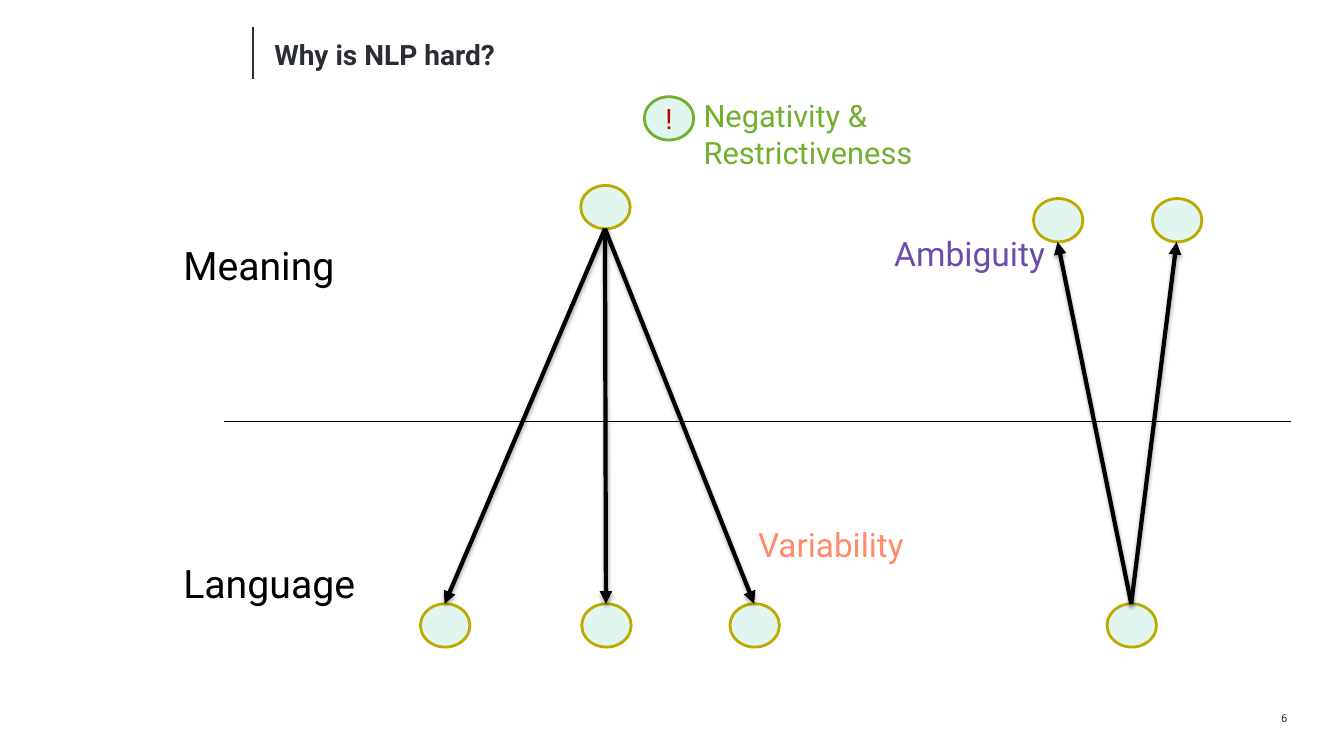
from lxml import etree
from pptx import Presentation
from pptx import util as u
from pptx.dml.color import RGBColor
from pptx.enum import shapes, text
from pptx.oxml import ns

PX = 9144
FONT = "Roboto"
INK, BLACK, GREEN, OLIVE, MINT = "2B2D34", "000000", "72AF2F", "BCAA00", "E1F6EE"
NODE_W, NODE_H = 49, 43
LANGUAGE_TOP = 599


def px(length):
    """Turn pixels into EMU."""
    return u.Emu(length * PX)


def color(hex_code):
    """Turn a hex string into a colour."""
    return RGBColor.from_string(hex_code)


def write(frame, words, size, hex_code, bold=False, inset=None, align=text.PP_ALIGN.LEFT):
    """Fill a text frame with one styled paragraph and return it."""
    if inset is not None:
        frame.margin_left = frame.margin_right = px(inset)
        frame.margin_top = frame.margin_bottom = px(inset)
    frame.word_wrap = True
    frame.auto_size = text.MSO_AUTO_SIZE.NONE
    frame.text = words
    paragraph = frame.paragraphs[0]
    paragraph.alignment = align
    font = paragraph.font
    font.name, font.size, font.bold = FONT, u.Pt(size), bold
    font.color.rgb = color(hex_code)
    return paragraph


def add_label(slide, box, words, size, hex_code, spacing=None, **style):
    """Add a text label in a box of left, top, width and height."""
    label = slide.shapes.add_textbox(*map(px, box))
    paragraph = write(label.text_frame, words, size, hex_code, **style)
    if spacing:
        paragraph.line_spacing = spacing


def add_title(slide, words):
    """Place and format the slide title."""
    title = slide.shapes.title
    title.left, title.top, title.width, title.height = map(px, (272, 24, 1030, 65))
    title.text_frame.vertical_anchor = text.MSO_ANCHOR.MIDDLE
    paragraph = write(title.text_frame, words, 20, INK, bold=True, inset=0)
    paragraph.line_spacing = u.Pt(20)


def add_node(slide, left, top, outline=OLIVE):
    """Add an oval node."""
    node = slide.shapes.add_shape(
        shapes.MSO_SHAPE.OVAL, *map(px, (left, top, NODE_W, NODE_H)))
    node.shadow.inherit = False
    node.fill.solid()
    node.fill.fore_color.rgb = color(MINT)
    node.line.color.rgb = color(outline)
    node.line.width = u.Pt(2)
    return node


def add_line(slide, start, end, width, hex_code=BLACK):
    """Add a straight line without a shadow and return it with its effects."""
    line = slide.shapes.add_connector(
        shapes.MSO_CONNECTOR.STRAIGHT, *map(px, (*start, *end)))
    line.line.color.rgb = color(hex_code)
    line.line.width = u.Pt(width)
    effects = etree.SubElement(line._element.spPr, ns.qn("a:effectLst"))
    return line, effects


def add_arrow(slide, start, end):
    """Add a thick arrow with a soft shadow below it."""
    arrow, effects = add_line(slide, start, end, 3)
    etree.SubElement(arrow.line._get_or_add_ln(), ns.qn("a:tailEnd"), type="triangle")
    shadow = etree.SubElement(
        effects, ns.qn("a:outerShdw"), blurRad=str(u.Pt(3.1)), dist=str(u.Pt(1.8)),
        dir="5400000", rotWithShape="0")
    shade = etree.SubElement(shadow, ns.qn("a:srgbClr"), val=BLACK)
    etree.SubElement(shade, ns.qn("a:alpha"), val="35000")


def add_fan(slide, source, targets):
    """Add a source node with arrows to target nodes above or below it."""
    for left, top in [source, *targets]:
        add_node(slide, left, top)
    downward = source[1] < targets[0][1]
    middle = NODE_W // 2
    leave, arrive = (NODE_H, 0) if downward else (0, NODE_H)
    for left, top in targets:
        add_arrow(slide, (source[0] + middle, source[1] + leave),
                  (left + middle, top + arrive))


def main():
    """Build the slide and save it."""
    deck = Presentation()
    deck.slide_width, deck.slide_height = px(1333), px(750)
    slide = deck.slides.add_slide(deck.slide_layouts[5])

    add_line(slide, (251, 27), (251, 78), 1, INK)
    add_title(slide, "Why is NLP hard?")
    add_label(slide, (1249, 706, 28, 13), "6", 8, INK, inset=0,
              align=text.PP_ALIGN.RIGHT)

    for level, top in (("Meaning", 240), ("Language", 555)):
        add_label(slide, (172, top, 405, 54), level, 28, BLACK, 0.9)
    add_line(slide, (222, 418), (1280, 418), 0.75)

    add_label(slide, (742, 523, 180, 54), "Variability", 23.8, "FF8B6B", 0.8)
    add_label(slide, (877, 231, 180, 54), "Ambiguity", 24, "6A4CAD", 0.9)
    add_fan(slide, (576, 184), [(left, LANGUAGE_TOP) for left in (417, 577, 724)])
    add_fan(slide, (1098, LANGUAGE_TOP), [(left, 197) for left in (1025, 1143)])

    add_label(slide, (688, 91, 240, 84), "Negativity & Restrictiveness", 22, GREEN)
    warning = add_node(slide, 639, 96, GREEN)
    warning.text_frame.vertical_anchor = text.MSO_ANCHOR.MIDDLE
    write(warning.text_frame, "!", 20, "C00000", align=text.PP_ALIGN.CENTER)

    deck.save("out.pptx")


if __name__ == "__main__":
    main()
